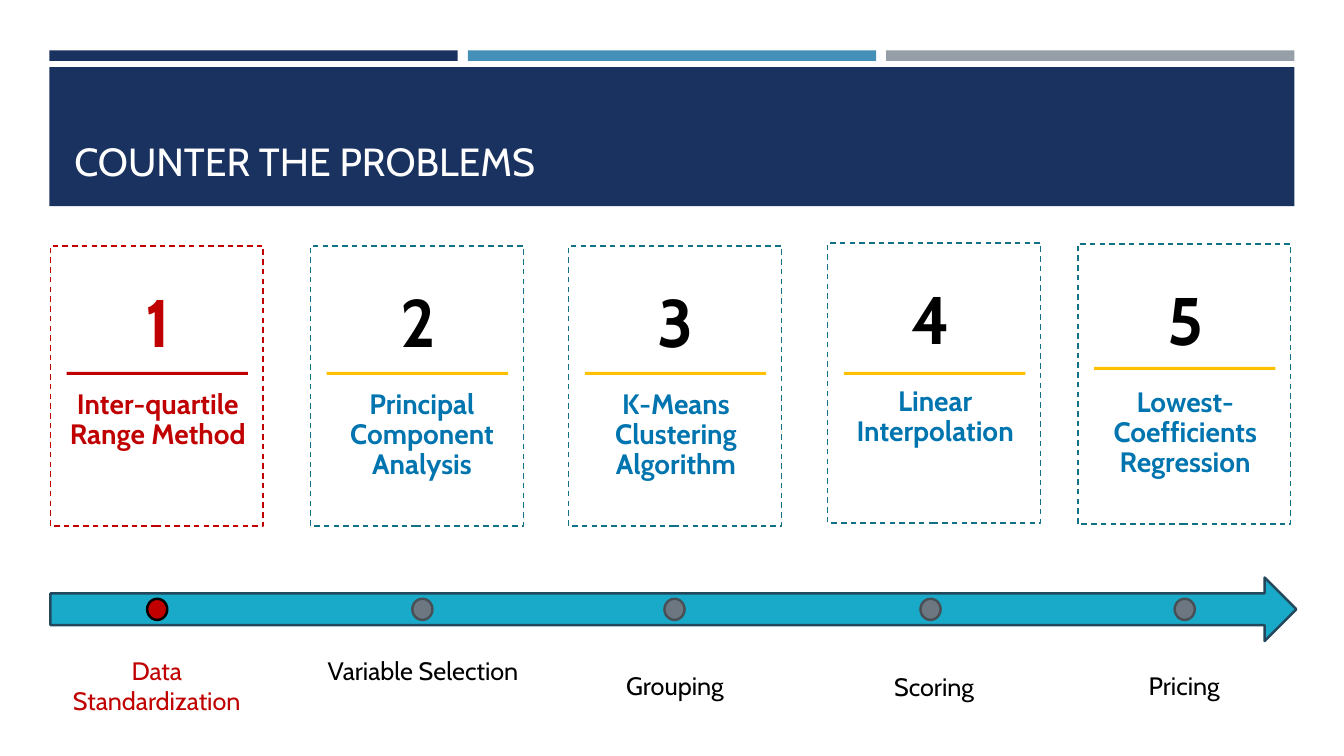
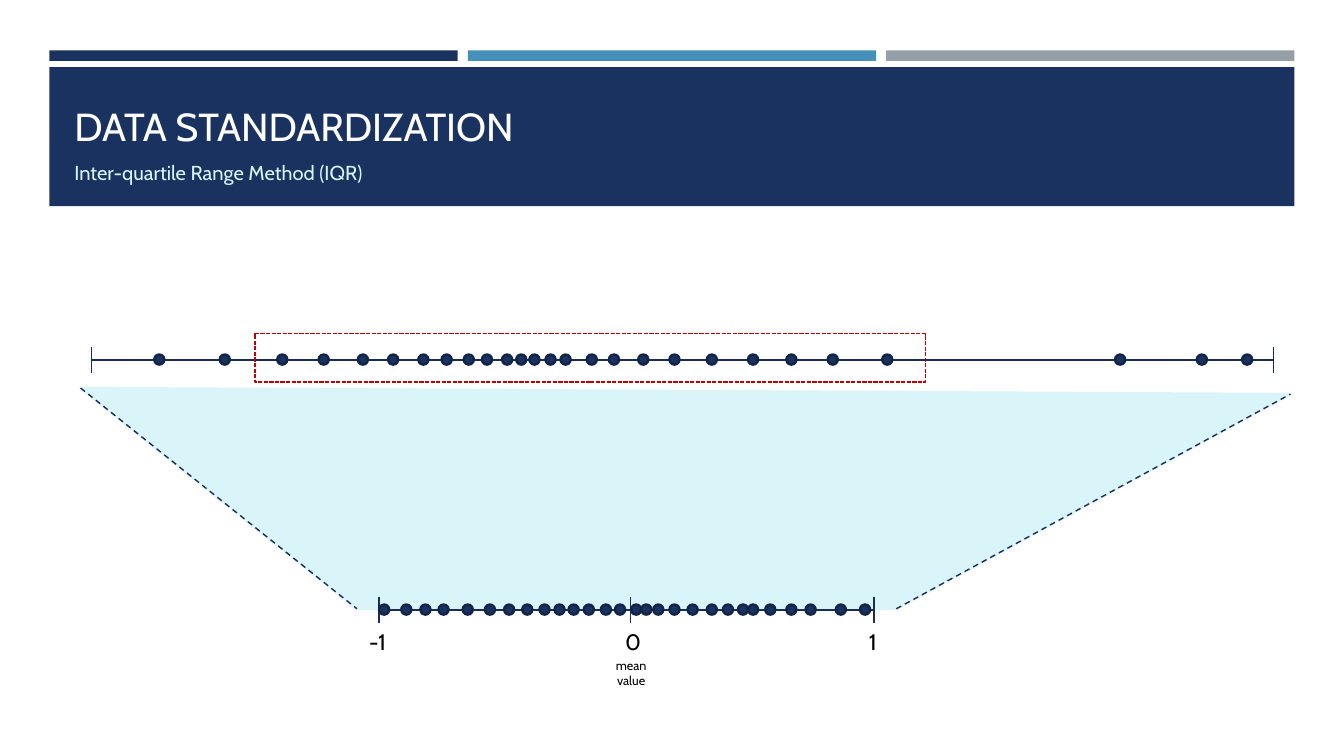
from pptx import Presentation
from pptx import util as u
from pptx.dml.color import RGBColor
from pptx.enum import dml, shapes, text
from pptx.oxml.ns import qn
from lxml import etree

NAVY = RGBColor(0x1A, 0x32, 0x60)
NAVY_LINE = RGBColor(0x17, 0x2D, 0x56)
NAVY_EDGE = RGBColor(0x13, 0x25, 0x47)
STEEL = RGBColor(0x45, 0x90, 0xB8)
SILVER = RGBColor(0x96, 0x9F, 0xA7)
RED = RGBColor(0xC0, 0x00, 0x00)
GOLD = RGBColor(0xFF, 0xC0, 0x00)
BLUE = RGBColor(0x00, 0x74, 0xAF)
TEAL = RGBColor(0x11, 0x71, 0x86)
AQUA = RGBColor(0x19, 0xAA, 0xC9)
AQUA_EDGE = RGBColor(0x23, 0x48, 0x5C)
ICE = RGBColor(0xDA, 0xF5, 0xFA)
SLATE = RGBColor(0x6C, 0x77, 0x81)
SLATE_EDGE = RGBColor(0x48, 0x50, 0x56)
BLACK = RGBColor(0, 0, 0)
WHITE = RGBColor(0xFF, 0xFF, 0xFF)

RECT, OVAL = shapes.MSO_SHAPE.RECTANGLE, shapes.MSO_SHAPE.OVAL
ARROW = shapes.MSO_SHAPE.RIGHT_ARROW
DASH, SHORT_DASH = dml.MSO_LINE.DASH, dml.MSO_LINE.SQUARE_DOT
LEFT, CENTER = text.PP_ALIGN.LEFT, text.PP_ALIGN.CENTER
TOP, BOTTOM = text.MSO_ANCHOR.TOP, text.MSO_ANCHOR.BOTTOM

prs = Presentation()
prs.slide_width, prs.slide_height = u.Inches(13.33), u.Inches(7.5)
# The grid has 100 columns and 100 rows
COL, ROW = prs.slide_width / 100, prs.slide_height / 100


def draw(slide, preset, box, fill=None, edge=None, weight=1, dash=None):
    """Add a preset shape; box is left, top, width, height in columns and rows."""
    x, y, w, h = box
    shape = slide.shapes.add_shape(preset, int(x * COL), int(y * ROW), int(w * COL), int(h * ROW))
    shape.shadow.inherit = False
    for part, colour in ((shape.fill, fill), (shape.line.fill, edge)):
        if colour is None:
            part.background()
        else:
            part.solid()
            part.fore_color.rgb = colour
    if edge is not None:
        shape.line.width = u.Pt(weight)
        shape.line.dash_style = dash


def write(slide, box, lines, align=CENTER, anchor=TOP, side=0.1, bold=False, **spacing):
    """Add a text box; lines holds (text, size, colour, space before) per paragraph."""
    x, y, w, h = box
    frame = slide.shapes.add_textbox(int(x * COL), int(y * ROW), int(w * COL), int(h * ROW)).text_frame
    frame_format = dict(word_wrap=True, vertical_anchor=anchor,
                        margin_left=u.Inches(side), margin_right=u.Inches(side))
    for name, value in frame_format.items():
        setattr(frame, name, value)
    for i, (words, size, colour, before) in enumerate(lines):
        para = frame.add_paragraph() if i else frame.paragraphs[0]
        para.alignment = align
        if before:
            para.space_before = u.Pt(before)
        for name, value in spacing.items():
            setattr(para, name, value)
        run = para.add_run()
        run.text = words
        for name, value in dict(name="Cabin", size=u.Pt(size), bold=bold).items():
            setattr(run.font, name, value)
        run.font.color.rgb = colour


# Shared header: three strips above a title band
MARGIN, STRIP_W, STRIP_STEP = 3.68, 30.38, 31.13
headers = [
    [("COUNTER THE PROBLEMS", 28, WHITE, 0)],
    [("DATA STANDARDIZATION", 27.9, WHITE, 0),
     ("Inter-quartile Range Method (IQR)", 14.4, ICE, 8)],
]
pages = []
for header in headers:
    page = prs.slides.add_slide(prs.slide_layouts[6])
    for i, strip in enumerate((NAVY, STEEL, SILVER)):
        draw(page, RECT, (MARGIN + i * STRIP_STEP, 6.67, STRIP_W, 1.4), strip)
    draw(page, RECT, (MARGIN, 8.87, 2 * STRIP_STEP + STRIP_W, 18.4), NAVY)
    write(page, (4.8, 10.67, 90.5, 14.4), header, align=LEFT, anchor=BOTTOM)
    pages.append(page)
problems, scaling = pages

# Slide 1: five method cards above a timeline
CARD_W, CARD_H, CARD_TEXT_W = 15.83, 37.07, 16.58
draw(problems, ARROW, (3.75, 76.4, 92.7, 8.4), AQUA, AQUA_EDGE, 1.75)

# method, stage, card left, card top, number shift, method shift,
# rule top, milestone left, stage shift, stage top
steps = [
    ("Inter-quartile Range Method", "Data Standardization",
     3.75, 32.53, -0.3, -0.3, 49.2, 10.95, 0, 86),
    ("Principal Component Analysis", "Variable Selection",
     23.11, 32.53, -0.3, 0, 49.2, 30.68, 0.45, 86),
    ("K-Means Clustering Algorithm", "Grouping",
     42.31, 32.53, -0.3, -0.3, 49.2, 49.44, 0, 88),
    ("Linear Interpolation", "Scoring",
     61.59, 32.13, -0.6, -0.3, 49.2, 68.49, 0, 88.13),
    ("Lowest-Coefficients Regression", "Pricing",
     80.2, 32.27, -0.3, -0.3, 48.53, 87.4, 0, 88),
]
for number, step in enumerate(steps, 1):
    (method, stage, left, top, number_shift, method_shift,
     rule_top, milestone, stage_shift, stage_top) = step
    current = number == 1
    draw(problems, RECT, (left, top, CARD_W, CARD_H), None, RED if current else TEAL, 1, DASH)
    write(problems, (left + number_shift, top + 5.07, CARD_TEXT_W, 11.07),
          [(str(number), 48, RED if current else BLACK, 0)],
          side=0.16, bold=True, line_spacing=0.9)
    draw(problems, RECT, (left + 1.2, rule_top, 13.5, 0.4), RED if current else GOLD)
    write(problems, (left + method_shift, top + 18.4, CARD_TEXT_W, 13.47),
          [(method, 20, RED if current else BLUE, 0)],
          side=0.16, bold=True, line_spacing=0.9)
    draw(problems, OVAL, (milestone, 79.2, 1.5, 2.8),
         RED if current else SLATE, BLACK if current else SLATE_EDGE, 1.75)
    write(problems, (left + stage_shift, stage_top, CARD_W, 9.47),
          [(stage, 18, RED if current else BLACK, 0)])

# Slide 2: raw values funnelled onto a scale from -1 to 1
funnel = [(6, 51.33), (96.02, 52.13), (66.69, 80.53), (26.56, 80.53)]
corners = [(int(x * COL), int(y * ROW)) for x, y in funnel]
builder = scaling.shapes.build_freeform(*corners[0])
builder.add_line_segments(corners[1:], close=True)
funnel_area = builder.convert_to_shape()
funnel_area.shadow.inherit = False
for part in (funnel_area.fill, funnel_area.line.fill):
    part.solid()
    part.fore_color.rgb = ICE
funnel_area.line.width = u.Pt(1.75)

# axis row, tick columns, value columns
raw_axis = (47.6, (6.83, 94.75), (
    11.48, 16.35, 20.63, 23.71, 26.63, 28.88, 31.13, 32.86, 34.51,
    35.86, 37.36, 38.41, 39.39, 40.59, 41.71, 43.66, 45.31, 47.49,
    49.81, 52.59, 55.66, 58.51, 61.59, 65.64, 82.97, 89.05, 92.42))
scaled_axis = (80.67, (28.21, 46.89, 65.04), (
    28.21, 29.86, 31.28, 32.63, 34.43, 36.08, 37.51, 38.86, 40.14, 41.26,
    42.31, 43.44, 44.71, 45.76, 46.96, 47.71, 48.61, 49.81, 51.16, 52.59,
    53.79, 54.91, 55.66, 56.94, 58.51, 59.94, 62.19, 63.99))

segments = [(funnel[0], funnel[3], DASH), (funnel[2], funnel[1], DASH)]
for row, ticks, values in (raw_axis, scaled_axis):
    segments.append(((ticks[0], row), (ticks[-1], row), None))
    segments += [((tick, row - 1.67), (tick, row + 1.8), None) for tick in ticks]

for (x1, y1), (x2, y2), dash in segments:
    line = scaling.shapes.add_connector(
        shapes.MSO_CONNECTOR.STRAIGHT,
        int(x1 * COL), int(y1 * ROW), int(x2 * COL), int(y2 * ROW))
    line.line.color.rgb = NAVY_LINE
    line.line.width = u.Pt(1)
    line.line.dash_style = dash
    etree.SubElement(line._element.spPr, qn("a:effectLst"))

for row, ticks, values in (raw_axis, scaled_axis):
    for value in values:
        draw(scaling, OVAL, (value, row - 0.7, 0.75, 1.33), NAVY, NAVY_EDGE, 1.75)

draw(scaling, RECT, (18.98, 44.13, 49.89, 6.4), None, RED, 1, SHORT_DASH)

for label, left, width in (("-1", 26.48, 3.23), ("0", 46.06, 2.1), ("1", 63.9, 2.1)):
    write(scaling, (left, 82.4, width, 4.93), [(label, 16, BLACK, 0)], side=0)
write(scaling, (44.11, 86.4, 5.7, 5.33), [("mean value", 9, BLACK, 0)])

prs.save("out.pptx")
